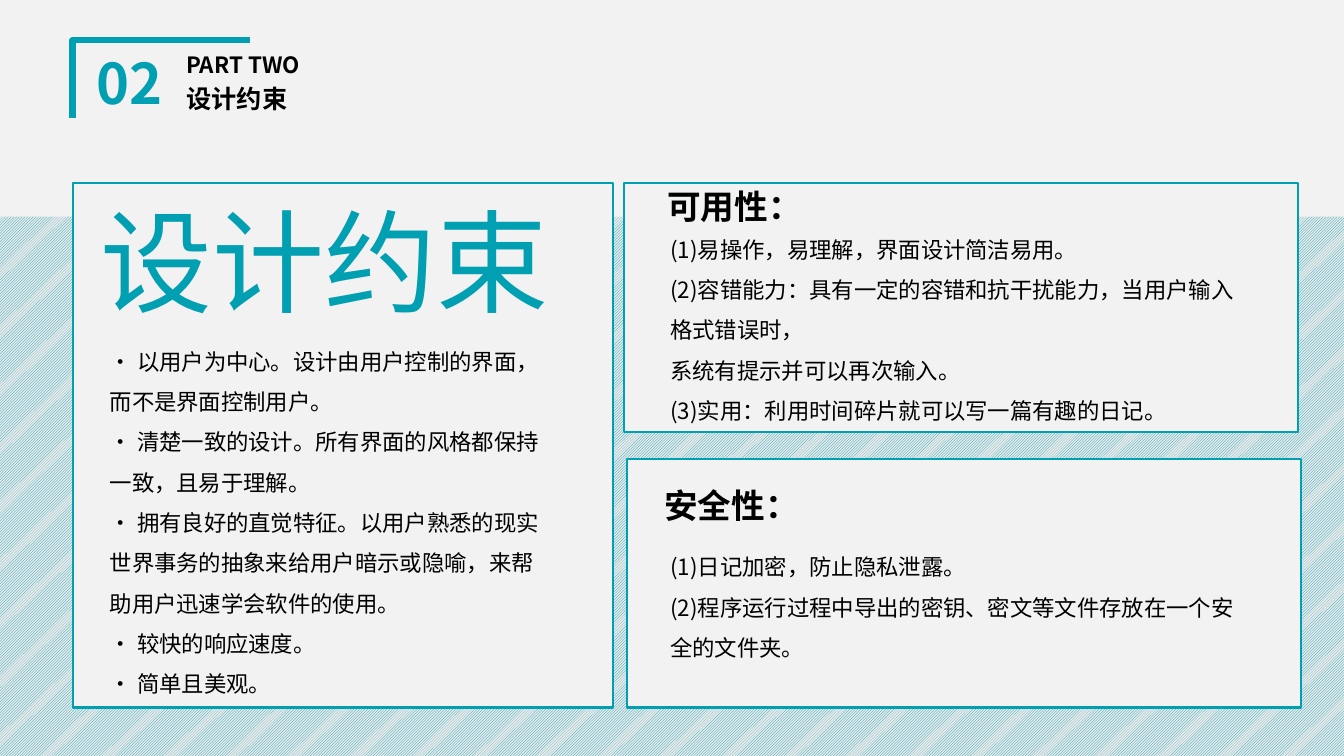
from dataclasses import dataclass

from lxml import etree
from pptx import Presentation
from pptx.dml.color import RGBColor
from pptx.enum.dml import MSO_PATTERN
from pptx.enum.lang import MSO_LANGUAGE_ID
from pptx.enum.shapes import MSO_SHAPE
from pptx.enum.text import MSO_ANCHOR, MSO_AUTO_SIZE, PP_ALIGN
from pptx.oxml.ns import qn
from pptx.util import Inches, Pt

TEAL = RGBColor(0x00, 0x9F, 0xB1)
PALE = RGBColor(0xF2, 0xF2, 0xF2)
STRIPE_GREY = RGBColor(0xE9, 0xE9, 0xE9)
BLACK = RGBColor(0x00, 0x00, 0x00)

FONT = "Noto Sans CJK SC"
CHINESE = MSO_LANGUAGE_ID.SIMPLIFIED_CHINESE
RECTANGLE = MSO_SHAPE.RECTANGLE
LIGHT_UPWARD = MSO_PATTERN.LIGHT_UPWARD_DIAGONAL
LEFT, CENTER = PP_ALIGN.LEFT, PP_ALIGN.CENTER
TOP, MIDDLE = MSO_ANCHOR.TOP, MSO_ANCHOR.MIDDLE
NO_AUTOFIT = MSO_AUTO_SIZE.NONE


@dataclass(frozen=True)
class Box:
    left: float
    top: float
    width: float
    height: float

    def lengths(self):
        return [Inches(v) for v in (self.left, self.top, self.width, self.height)]


@dataclass(frozen=True)
class Section:
    panel: Box
    heading_box: Box
    heading: str
    body_box: Box
    lines: tuple[str, ...]


PRINCIPLES_PANEL = Box(0.72, 1.82, 5.36, 5.2)
PRINCIPLES = (
    "· 以用户为中心。设计由用户控制的界面，而不是界面控制用户。",
    "· 清楚一致的设计。所有界面的风格都保持一致，且易于理解。",
    "· 拥有良好的直觉特征。以用户熟悉的现实世界事务的抽象来给用户暗示或隐喻，来帮助用户迅速学会软件的使用。",
    "· 较快的响应速度。",
    "· 简单且美观。",
)
SECTIONS = (
    Section(
        Box(6.19, 1.82, 6.68, 2.47),
        Box(6.52, 1.8, 1.55, 0.5),
        "可用性：",
        Box(6.55, 2.16, 5.83, 2.07),
        (
            "(1)易操作，易理解，界面设计简洁易用。",
            "(2)容错能力：具有一定的容错和抗干扰能力，当用户输入格式错误时，",
            "系统有提示并可以再次输入。",
            "(3)实用：利用时间碎片就可以写一篇有趣的日记。",
        ),
    ),
    Section(
        Box(6.22, 4.55, 6.68, 2.47),
        Box(6.49, 4.76, 1.55, 0.5),
        "安全性：",
        Box(6.55, 5.31, 5.83, 1.67),
        (
            "(1)日记加密，防止隐私泄露。",
            "(2)程序运行过程中导出的密钥、密文等文件存放在一个安全的文件夹。",
        ),
    ),
)


def write_text(shape, *lines: str, size: float, color: RGBColor = BLACK,
               bold: bool = False, align=LEFT, anchor=TOP, wrap: bool = True,
               line_spacing: float = 1.0, space_before: float = 0) -> None:
    frame = shape.text_frame
    frame.word_wrap = wrap
    frame.auto_size = NO_AUTOFIT
    frame.vertical_anchor = anchor
    for index, line in enumerate(lines):
        paragraph = frame.add_paragraph() if index else frame.paragraphs[0]
        paragraph.alignment = align
        paragraph.line_spacing = line_spacing
        paragraph.space_before = Pt(space_before)
        run = paragraph.add_run()
        run.text = line
        font = run.font
        font.size, font.bold, font.name = Pt(size), bold, FONT
        font.color.rgb = color
        font.language_id = CHINESE
        east_asian = etree.SubElement(run._r.get_or_add_rPr(), qn("a:ea"))
        east_asian.set("typeface", FONT)


def add_text(slide, box: Box, *lines: str, **text_format) -> None:
    write_text(slide.shapes.add_textbox(*box.lengths()), *lines, **text_format)


def add_panel(slide, box: Box) -> None:
    panel = slide.shapes.add_shape(RECTANGLE, *box.lengths())
    panel.shadow.inherit = False
    panel.fill.solid()
    panel.fill.fore_color.rgb = PALE
    panel.line.color.rgb = TEAL
    panel.line.width = Pt(1.5)


def add_striped_band(slide) -> None:
    band = slide.shapes.add_shape(RECTANGLE, *Box(-0.02, 2.15, 13.35, 5.35).lengths())
    band.shadow.inherit = False
    band.fill.patterned()
    band.fill.pattern = LIGHT_UPWARD
    band.fill.fore_color.rgb = TEAL
    band.fill.back_color.rgb = STRIPE_GREY
    band.line.fill.background()


def add_corner_bracket(slide) -> None:
    builder = slide.shapes.build_freeform(Inches(0.72), Inches(1.17))
    builder.add_line_segments(
        [(Inches(0.72), Inches(0.4)), (Inches(2.48), Inches(0.4))], close=False)
    bracket = builder.convert_to_shape()
    bracket.shadow.inherit = False
    bracket.fill.background()
    bracket.line.color.rgb = TEAL
    bracket.line.width = Pt(4.5)


def add_header(slide) -> None:
    header_format = dict(bold=True, anchor=MIDDLE, line_spacing=0.9, space_before=10)
    add_corner_bracket(slide)
    add_text(slide, Box(0.82, 0.49, 0.93, 0.73), "02",
             size=40, color=TEAL, align=CENTER, **header_format)
    add_text(slide, Box(1.75, 0.49, 2.67, 0.34), "PART TWO", size=16, **header_format)
    title = slide.shapes.title
    title.left, title.top, title.width, title.height = Box(1.75, 0.78, 2.67, 0.44).lengths()
    write_text(title, "设计约束", size=18, **header_format)


def main() -> None:
    presentation = Presentation()
    presentation.slide_width = Inches(13.33)
    presentation.slide_height = Inches(7.5)
    slide = presentation.slides.add_slide(presentation.slide_layouts.get_by_name("Title Only"))
    slide.background.fill.solid()
    slide.background.fill.fore_color.rgb = PALE

    add_striped_band(slide)
    add_header(slide)

    add_panel(slide, PRINCIPLES_PANEL)
    add_text(slide, Box(0.9, 1.86, 4.98, 1.45), "设计约束", size=80, color=TEAL)
    add_text(slide, Box(0.99, 3.27, 4.56, 3.69), *PRINCIPLES, size=16, line_spacing=1.5)

    for section in SECTIONS:
        add_panel(slide, section.panel)
        add_text(slide, section.heading_box, section.heading, size=24, bold=True, wrap=False)
        add_text(slide, section.body_box, *section.lines, size=16, line_spacing=1.5)

    presentation.save("out.pptx")


if __name__ == "__main__":
    main()
